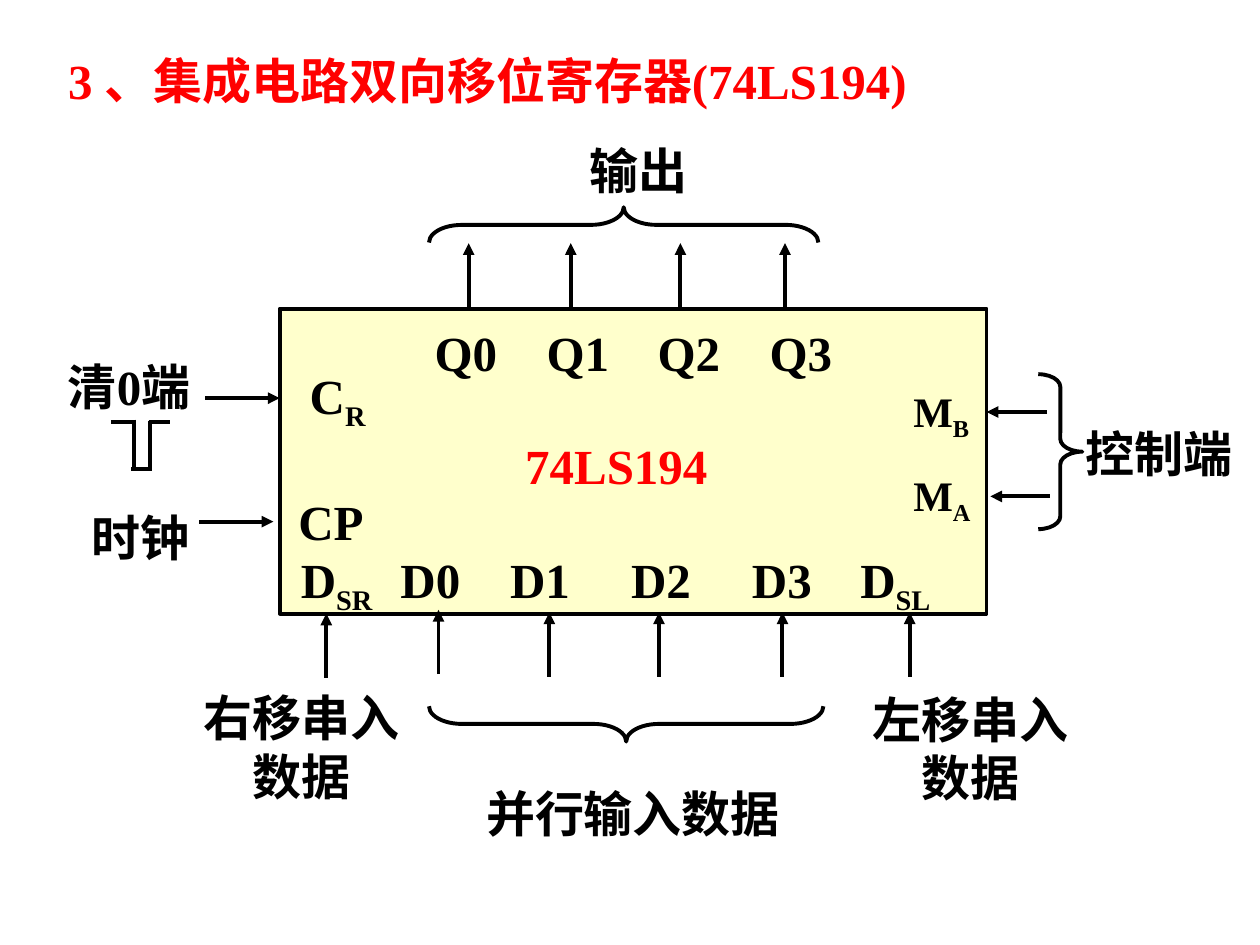
from dataclasses import dataclass

from lxml import etree
from pptx import Presentation
from pptx.dml.color import RGBColor
from pptx.enum import shapes, text
from pptx.oxml.ns import qn
from pptx.util import Inches, Pt


@dataclass(frozen=True)
class Theme:
    font: str = "Times New Roman"
    ink: RGBColor = RGBColor(0x00, 0x00, 0x00)
    accent: RGBColor = RGBColor(0xFF, 0x00, 0x00)
    chip: RGBColor = RGBColor(0xFF, 0xFF, 0xCC)
    body_size: float = 28
    mode_size: float = 24
    line_width: float = 2.25
    spacing: float = 0.625


THEME = Theme()


@dataclass(frozen=True)
class Label:
    left: float
    top: float
    width: float
    height: float
    lines: tuple[tuple[str, ...], ...]
    size: float = THEME.body_size
    color: RGBColor = THEME.ink
    centered: bool = False
    stops: tuple[float, ...] = ()


@dataclass(frozen=True)
class Brace:
    kind: shapes.MSO_SHAPE
    left: float
    top: float
    width: float
    height: float
    rotation: int
    curl: float


@dataclass(frozen=True)
class Line:
    x1: float
    y1: float
    x2: float
    y2: float
    arrow: bool = True


TITLE = Label(0.44, 0.35, 7.57, 0.57, (("3 、集成电路双向移位寄存器(74LS194)",),), color=THEME.accent)

LABELS = (
    Label(4.58, 1.07, 1.07, 0.57, (("输出",),)),
    Label(3.76, 6.17, 2.66, 0.57, (("并行输入数据",),)),
    Label(1.44, 5.41, 1.91, 1.04, (("右移串入数据",),), centered=True),
    Label(6.75, 5.42, 1.91, 1.04, (("左移串入数据",),), centered=True),
    Label(8.52, 3.31, 1.48, 0.57, (("控制端",),)),
    Label(0.44, 2.78, 1.39, 0.57, (("清0端",),)),
    Label(0.63, 3.98, 1.1, 0.57, (("时钟",),)),
    Label(3.35, 2.51, 3.52, 0.57, (("Q0\tQ1\tQ2\tQ3",),), stops=(0.89, 1.77, 2.66)),
    Label(2.29, 4.31, 5.43, 0.63, (("D", "SR", "\tD0\tD1\tD2\tD3\tD", "SL"),),
          stops=(0.79, 1.66, 2.62, 3.58, 4.44)),
    Label(2.36, 2.85, 0.9, 0.63, (("C", "R"),)),
    Label(7.15, 3.01, 0.79, 1.22, (("M", "B"), ("M", "A")), size=THEME.mode_size),
    Label(2.27, 3.85, 0.76, 0.57, (("CP",),)),
    Label(4.07, 3.41, 1.89, 0.57, (("74LS194",),), color=THEME.accent),
)

BRACES = (
    Brace(shapes.MSO_SHAPE.LEFT_BRACE, 4.81, 0.24, 0.28, 3.09, 90, 0.93),
    Brace(shapes.MSO_SHAPE.LEFT_BRACE, 4.83, 4.18, 0.28, 3.13, 270, 0.93),
    Brace(shapes.MSO_SHAPE.RIGHT_BRACE, 8.24, 2.97, 0.35, 1.23, 0, 0.29),
)

OUTPUT_ARROWS = tuple(Line(x, 2.44, x, 1.93) for x in (3.72, 4.53, 5.4, 6.23))
INPUT_ARROWS = tuple(
    Line(x, tip + 0.51, x, tip)
    for x, tip in ((2.59, 4.87), (3.48, 4.84), (4.36, 4.86), (5.23, 4.86), (6.21, 4.86), (7.22, 4.86))
)
SIDE_ARROWS = (
    Line(1.63, 3.16, 2.22, 3.16),
    Line(1.58, 4.14, 2.17, 4.14),
    Line(8.31, 3.27, 7.83, 3.27),
    Line(8.33, 3.94, 7.86, 3.94),
)
CLEAR_PULSE = (
    Line(0.88, 3.35, 1.05, 3.35, False),
    Line(1.06, 3.33, 1.06, 3.73, False),
    Line(1.04, 3.72, 1.21, 3.72, False),
    Line(1.19, 3.34, 1.19, 3.73, False),
    Line(1.18, 3.35, 1.35, 3.35, False),
)


def set_stops(para, stops: tuple[float, ...]) -> None:
    tab_list = etree.SubElement(para._p.get_or_add_pPr(), qn("a:tabLst"))
    for stop in stops:
        etree.SubElement(tab_list, qn("a:tab"), pos=str(Inches(stop)), algn="l")


def write_label(box, label: Label) -> None:
    box.left, box.top = Inches(label.left), Inches(label.top)
    box.width, box.height = Inches(label.width), Inches(label.height)
    frame = box.text_frame
    frame.word_wrap = True
    frame.auto_size = text.MSO_AUTO_SIZE.SHAPE_TO_FIT_TEXT
    frame.vertical_anchor = text.MSO_ANCHOR.TOP
    for row, spans in enumerate(label.lines):
        para = frame.add_paragraph() if row else frame.paragraphs[0]
        para.alignment = text.PP_ALIGN.CENTER if label.centered else text.PP_ALIGN.LEFT
        para.space_before = Pt(label.size * THEME.spacing)
        if label.stops:
            set_stops(para, label.stops)
        for index, words in enumerate(spans):
            span = para.add_run()
            span.text = words
            span.font.name = THEME.font
            span.font.size = Pt(label.size)
            span.font.bold = True
            span.font.color.rgb = label.color
            if index % 2:
                span._r.get_or_add_rPr().set("baseline", "-25000")


def style_line(shape) -> None:
    shape.line.color.rgb = THEME.ink
    shape.line.width = Pt(THEME.line_width)


def draw_chip(page) -> None:
    chip = page.shapes.add_shape(
        shapes.MSO_SHAPE.RECTANGLE, Inches(2.22), Inches(2.45), Inches(5.61), Inches(2.42))
    chip.shadow.inherit = False
    chip.fill.solid()
    chip.fill.fore_color.rgb = THEME.chip
    style_line(chip)


def draw_brace(page, brace: Brace) -> None:
    shape = page.shapes.add_shape(
        brace.kind, Inches(brace.left), Inches(brace.top), Inches(brace.width), Inches(brace.height))
    shape.rotation = brace.rotation
    shape.adjustments[0] = brace.curl
    shape.shadow.inherit = False
    shape.fill.background()
    style_line(shape)


def draw_line(page, line: Line) -> None:
    connector = page.shapes.add_connector(
        shapes.MSO_CONNECTOR.STRAIGHT,
        Inches(line.x1), Inches(line.y1), Inches(line.x2), Inches(line.y2))
    style_line(connector)
    if line.arrow:
        etree.SubElement(connector.line._get_or_add_ln(), qn("a:tailEnd"), type="triangle")
    etree.SubElement(connector._element.spPr, qn("a:effectLst"))


def main() -> None:
    deck = Presentation()
    deck.slide_width, deck.slide_height = Inches(10), Inches(7.5)
    page = deck.slides.add_slide(deck.slide_layouts[5])
    write_label(page.shapes.title, TITLE)
    draw_chip(page)
    for brace in BRACES:
        draw_brace(page, brace)
    for line in OUTPUT_ARROWS + INPUT_ARROWS + SIDE_ARROWS + CLEAR_PULSE:
        draw_line(page, line)
    for label in LABELS:
        box = page.shapes.add_textbox(0, 0, 0, 0)
        write_label(box, label)
    deck.save("out.pptx")


if __name__ == "__main__":
    main()
